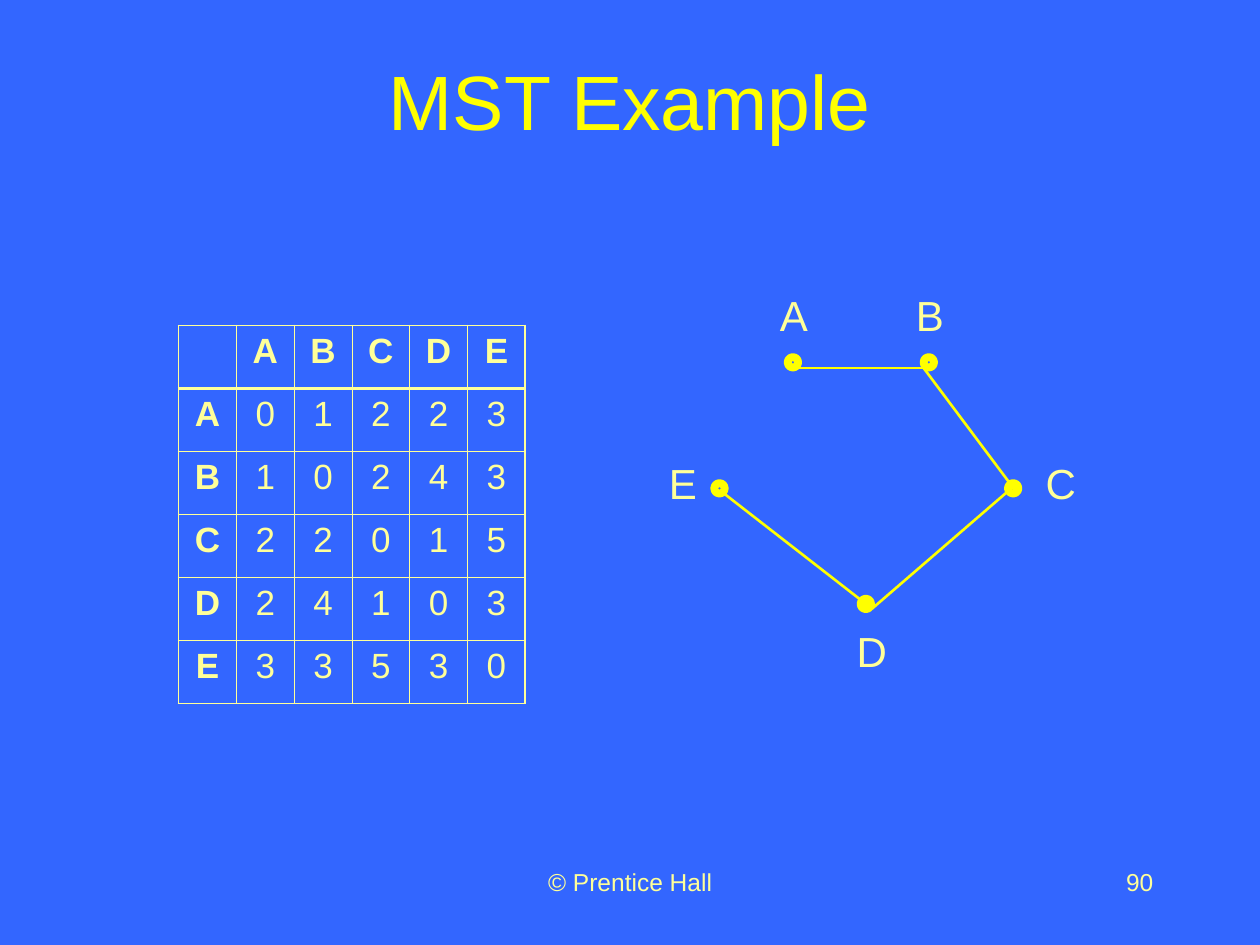
from dataclasses import dataclass

import pptx
import pptx.dml.color
import pptx.enum.shapes
import pptx.enum.text
import pptx.util
from lxml import etree
from pptx.oxml.ns import qn

Cm = pptx.util.Cm
Pt = pptx.util.Pt
RGB = pptx.dml.color.RGBColor
Align = pptx.enum.text.PP_ALIGN


@dataclass
class Theme:
    font: str = "Arial"
    background: RGB = RGB.from_string("3366FF")
    accent: RGB = RGB.from_string("FFFF00")
    text: RGB = RGB.from_string("FFFF99")
    title_size: int = 44
    label_size: int = 24
    table_size: int = 20
    footer_size: int = 14


theme = Theme()


def write(frame, text, size, color, align=Align.CENTER, bold=False):
    frame.text = text
    para = frame.paragraphs[0]
    para.alignment = align
    for span in para.runs:
        span.font.name = theme.font
        span.font.size = Pt(size)
        span.font.bold = bold
        span.font.color.rgb = color


def set_border(cell, side, width):
    properties = cell._tc.get_or_add_tcPr()
    line = etree.SubElement(properties, qn("a:" + side), w=str(Pt(width)))
    fill = etree.SubElement(line, qn("a:solidFill"))
    etree.SubElement(fill, qn("a:srgbClr"), val=str(theme.text))


deck = pptx.Presentation()
deck.slide_width = Cm(25.4)
deck.slide_height = Cm(19.05)
page = deck.slides.add_slide(deck.slide_layouts[5])
page.background.fill.solid()
page.background.fill.fore_color.rgb = theme.background

title = page.shapes.title
title.left, title.top, title.width, title.height = Cm(1.9), Cm(0), Cm(21.6), Cm(4.02)
title.text_frame.vertical_anchor = pptx.enum.text.MSO_ANCHOR.MIDDLE
write(title.text_frame, "MST Example", theme.title_size, theme.accent)

names = "ABCDE"
distances = ["01223", "10243", "22015", "24103", "33530"]
rows = [["", *names]] + [[name, *values] for name, values in zip(names, distances)]
count = len(rows)
last = count - 1
table = page.shapes.add_table(count, count, Cm(3.6), Cm(6.56), Cm(6.99), Cm(7.62)).table
table.first_row = False
table.horz_banding = False
thin, outer, header = 0.45, 1.08, 1.47
for r, row in enumerate(rows):
    for c, value in enumerate(row):
        cell = table.cell(r, c)
        write(cell.text_frame, value, theme.table_size, theme.text, bold=r == 0 or c == 0)
        set_border(cell, "lnL", outer if c == 0 else thin)
        set_border(cell, "lnR", outer if c == last else thin)
        set_border(cell, "lnT", {0: outer, 1: header}.get(r, thin))
        set_border(cell, "lnB", {0: header, last: outer}.get(r, thin))
        cell.fill.background()

nodes = {
    "A": (15.88, 7.2, 15.47, 5.72, 1.07),
    "B": (18.62, 7.2, 18.21, 5.72, 1.07),
    "C": (20.32, 9.74, 20.75, 9.1, 1.27),
    "D": (17.35, 12.07, 16.94, 12.49, 1.27),
    "E": (14.4, 9.74, 13.13, 9.1, 1.27),
}
for name, (x, y, label_x, label_y, label_width) in nodes.items():
    node = page.shapes.add_shape(
        pptx.enum.shapes.MSO_SHAPE.OVAL, Cm(x), Cm(y), Cm(0.21), Cm(0.21)
    )
    node.shadow.inherit = False
    node.fill.background()
    node.line.color.rgb = theme.accent
    node.line.width = Pt(4.5)
    label = page.shapes.add_textbox(Cm(label_x), Cm(label_y), Cm(label_width), Cm(1.27))
    label.text_frame.word_wrap = False
    write(label.text_frame, name, theme.label_size, theme.text)

edges = [
    (16.08, 7.42, 18.62, 7.42),
    (17.58, 12.27, 20.52, 9.73),
    (18.62, 7.42, 20.52, 9.96),
    (14.61, 9.96, 17.58, 12.27),
]
for ends in edges:
    edge = page.shapes.add_connector(
        pptx.enum.shapes.MSO_CONNECTOR.STRAIGHT, *[Cm(value) for value in ends]
    )
    edge.line.color.rgb = theme.accent
    edge.line.width = Pt(1.5)
    etree.SubElement(edge._element.spPr, qn("a:effectLst"))

footers = [
    ("© Prentice Hall", 8.68, 8.05, Align.CENTER),
    ("90", 18.2, 5.3, Align.RIGHT),
]
for text, left, width, align in footers:
    footer = page.shapes.add_textbox(Cm(left), Cm(17.36), Cm(width), Cm(1.27))
    footer.text_frame.word_wrap = True
    write(footer.text_frame, text, theme.footer_size, theme.text, align)

deck.save("out.pptx")
